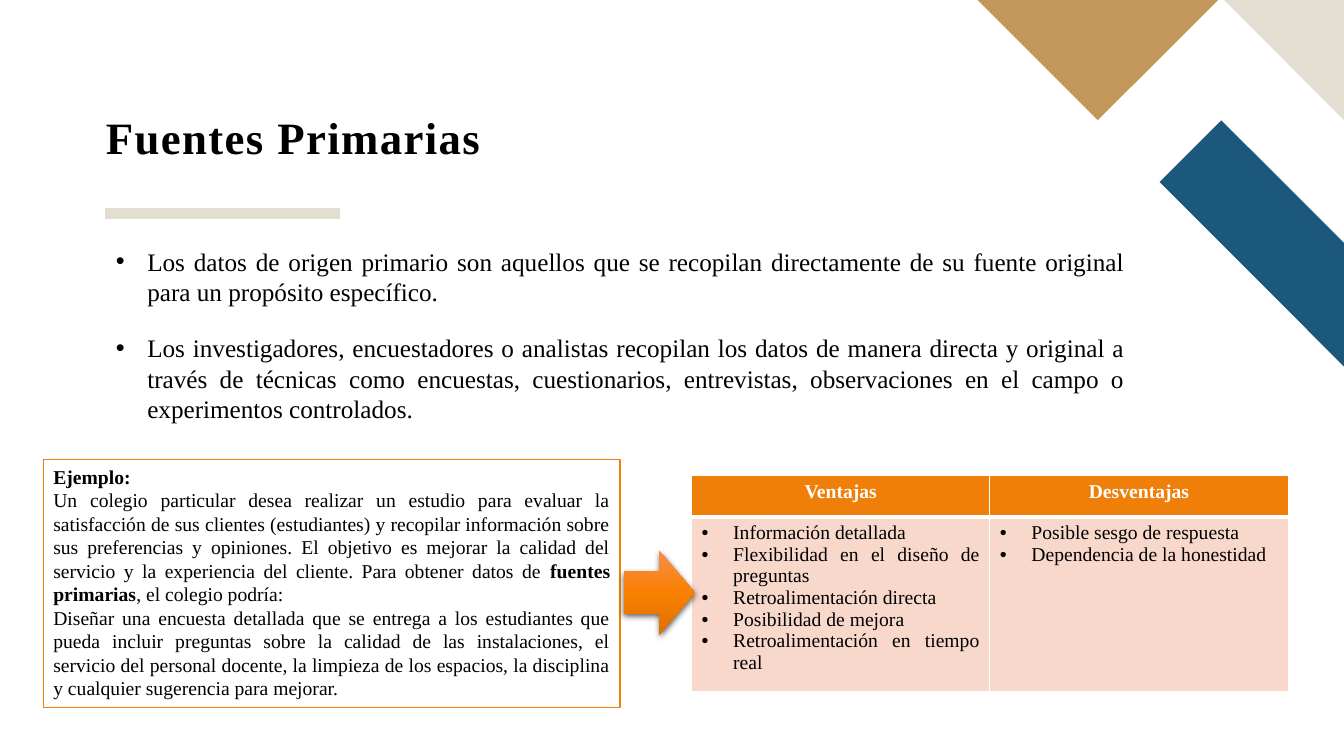
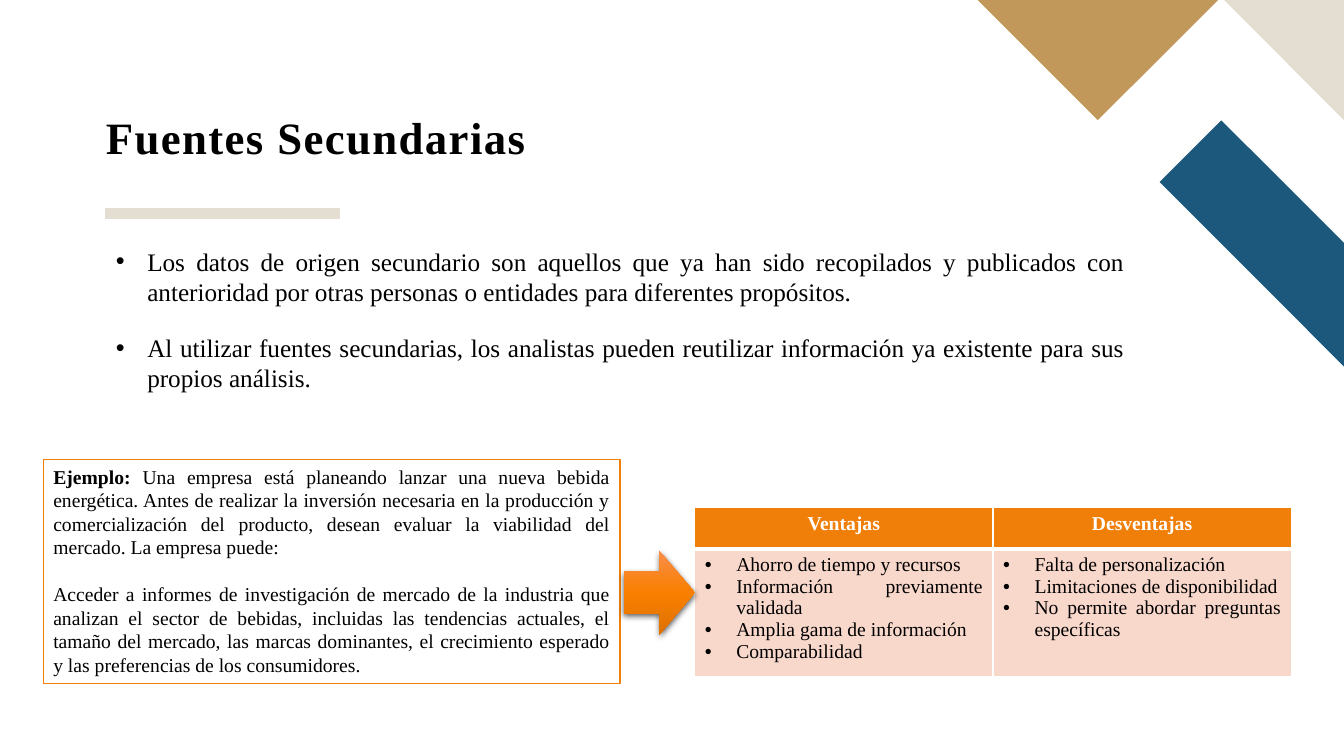
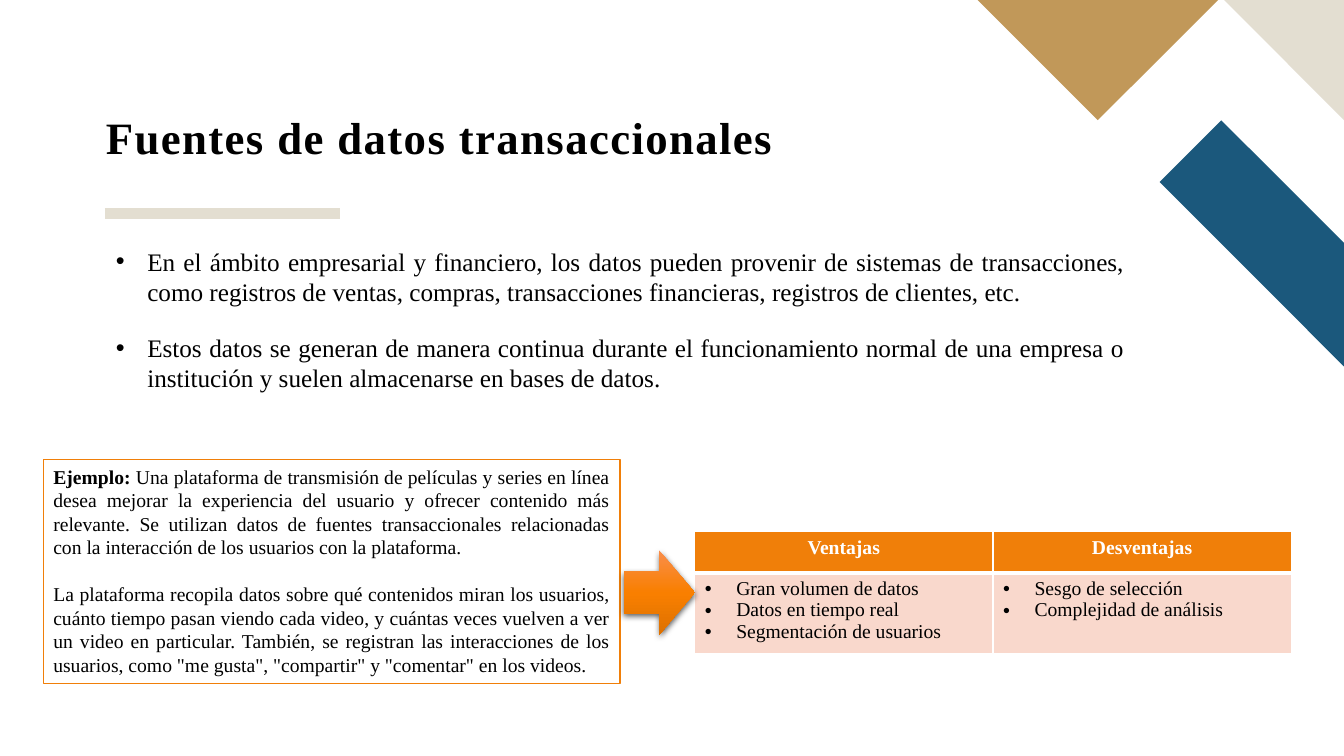
from collections import namedtuple
from copy import deepcopy
from dataclasses import dataclass

from lxml import etree
from pptx import Presentation
from pptx.dml.color import RGBColor
from pptx.enum.shapes import MSO_CONNECTOR, MSO_SHAPE
from pptx.enum.text import MSO_ANCHOR, PP_ALIGN
from pptx.oxml.ns import qn
from pptx.util import Pt

RECTANGLE = MSO_SHAPE.RECTANGLE
RIGHT_ARROW = MSO_SHAPE.RIGHT_ARROW
STRAIGHT = MSO_CONNECTOR.STRAIGHT
TOP, BOTTOM = MSO_ANCHOR.TOP, MSO_ANCHOR.BOTTOM
CENTER, JUSTIFY = PP_ALIGN.CENTER, PP_ALIGN.JUSTIFY

Box = namedtuple("Box", "left top width height")


@dataclass(frozen=True)
class Theme:
    font: str = "Times New Roman"
    title_size: float = 32
    body_size: float = 18
    small_size: float = 14
    black: str = "000000"
    white: str = "FFFFFF"
    sand: str = "E3DED1"
    blue: str = "1B587C"
    gold: str = "C19859"
    orange: str = "F07F09"
    peach: str = "F9D8CC"
    arrow_stops: tuple = ((0, "F98E4B"), (0.5, "F97F00"), (1, "DD7100"))
    indent: float = 22.5
    blank_line: float = 16.8


THEME = Theme()
TITLE_BOX = Box(75.6, 69.1, 735, 48.2)
BULLET_LEFT, BULLET_WIDTH = 75.6, 735
BULLET_TOPS = (172.1, 234)
LINE_HEIGHT = 21.8
EXAMPLE_LEFT, EXAMPLE_TOP, EXAMPLE_WIDTH = 31, 328.3, 412
ARROW_BOX = Box(445.4, 393.2, 50.9, 60.2)
TABLE_WIDTH, HEADER_HEIGHT = 426.2, 29.4
CORNER_OUTLINES = (
    (THEME.blue, ((960, 261.8), (960, 173.4), (872.4, 86), (828.3, 130))),
    (THEME.sand, ((960, 85.8), (960, 0), (874.5, 0))),
    (THEME.gold, ((698.3, 0), (784.2, 85.8), (870.2, 0))),
)


def color(value):
    return RGBColor.from_string(value)


def points(box):
    return [Pt(value) for value in box]


def write_paragraph(paragraph, runs, size, align=JUSTIFY, ink=THEME.black, **formats):
    """Fill a paragraph with (text, bold) runs."""
    for name, value in {"alignment": align, **formats}.items():
        setattr(paragraph, name, value)
    for text, bold in runs:
        run = paragraph.add_run()
        run.text = text
        for name, value in {"name": THEME.font, "size": Pt(size), "bold": bold}.items():
            setattr(run.font, name, value)
        run.font.color.rgb = color(ink)


def add_bullet(paragraph):
    properties = paragraph._p.get_or_add_pPr()
    properties.set("marL", str(Pt(THEME.indent)))
    properties.set("indent", str(-Pt(THEME.indent)))
    etree.SubElement(properties, qn("a:buFont"), typeface="Arial")
    etree.SubElement(properties, qn("a:buChar"), char="•")


def next_paragraph(frame, index):
    return frame.add_paragraph() if index else frame.paragraphs[0]


def add_decoration(slide):
    # Corner shapes
    for fill, corners in CORNER_OUTLINES:
        start, *others = [(Pt(x), Pt(y)) for x, y in corners]
        builder = slide.shapes.build_freeform(*start)
        builder.add_line_segments(others, close=True)
        shape = builder.convert_to_shape()
        shape.shadow.inherit = False
        shape.fill.solid()
        shape.fill.fore_color.rgb = color(fill)
        shape.line.fill.background()
    # Rule under the title
    rule = slide.shapes.add_connector(STRAIGHT, Pt(75), Pt(152.6), Pt(243), Pt(152.6))
    rule.line.color.rgb = color(THEME.sand)
    rule.line.width = Pt(8)
    etree.SubElement(rule._element.spPr, qn("a:effectLst"))


def add_title(slide, box, text):
    frame = slide.shapes.add_textbox(*points(box)).text_frame
    formats = {"word_wrap": True, "vertical_anchor": BOTTOM, "margin_left": 0,
               "margin_top": 0, "margin_right": 0, "margin_bottom": 0}
    for name, value in formats.items():
        setattr(frame, name, value)
    paragraph = frame.paragraphs[0]
    write_paragraph(paragraph, [(text, True)], THEME.title_size, line_spacing=0.9)
    paragraph.runs[0]._r.get_or_add_rPr().set("spc", "100")


def add_bullet_box(slide, box, text):
    frame = slide.shapes.add_textbox(*points(box)).text_frame
    frame.word_wrap = True
    write_paragraph(frame.paragraphs[0], [(text, False)], THEME.body_size)
    add_bullet(frame.paragraphs[0])


def add_example(slide, box, paragraphs, gap):
    shape = slide.shapes.add_shape(RECTANGLE, *points(box))
    shape.shadow.inherit = False
    shape.fill.solid()
    shape.fill.fore_color.rgb = color(THEME.white)
    shape.line.color.rgb = color(THEME.orange)
    shape.line.width = Pt(1)
    frame = shape.text_frame
    frame.word_wrap = True
    frame.vertical_anchor = TOP
    for index, runs in enumerate(paragraphs):
        write_paragraph(next_paragraph(frame, index), runs, THEME.small_size,
                        space_before=Pt(gap if index else 0))


def style_cell(cell, fill, borders):
    cell.fill.solid()
    cell.fill.fore_color.rgb = color(fill)
    properties = cell._tc.get_or_add_tcPr()
    for index, (side, width) in enumerate(borders.items()):
        line = etree.Element(qn(f"a:ln{side}"), w=str(Pt(width)))
        solid = etree.SubElement(line, qn("a:solidFill"))
        etree.SubElement(solid, qn("a:srgbClr"), val=THEME.white)
        properties.insert(index, line)


def add_comparison(slide, box, columns):
    """Place a header row over one bulleted cell per column."""
    table = slide.shapes.add_table(2, len(columns), *points(box)).table
    table.horz_banding = False
    table.rows[0].height = Pt(HEADER_HEIGHT)
    table.rows[1].height = Pt(box.height - HEADER_HEIGHT)
    for column, (heading, items) in enumerate(columns.items()):
        header, body = table.cell(0, column), table.cell(1, column)
        style_cell(header, THEME.orange, {"L": 1, "R": 1, "T": 1, "B": 3})
        style_cell(body, THEME.peach, {"L": 1, "R": 1, "T": 3, "B": 1})
        write_paragraph(header.text_frame.paragraphs[0], [(heading, True)],
                        THEME.small_size, CENTER, THEME.white)
        for index, item in enumerate(items):
            paragraph = next_paragraph(body.text_frame, index)
            write_paragraph(paragraph, [(item, False)], THEME.small_size)
            add_bullet(paragraph)


def add_arrow(slide, box):
    arrow = slide.shapes.add_shape(RIGHT_ARROW, *points(box))
    arrow.line.fill.background()
    # Three-stop vertical gradient
    arrow.fill.gradient()
    arrow.fill.gradient_angle = 270
    stop_list = arrow._element.spPr.find(qn("a:gradFill")).find(qn("a:gsLst"))
    stop_list.append(deepcopy(stop_list[0]))
    for stop, (position, value) in zip(arrow.fill.gradient_stops, THEME.arrow_stops):
        stop.position = position
        stop.color.rgb = color(value)
    # Soft shadow below
    arrow.shadow.inherit = False
    effects = arrow._element.spPr.find(qn("a:effectLst"))
    shadow = etree.SubElement(effects, qn("a:outerShdw"), blurRad=str(Pt(4.5)),
                              dist=str(Pt(1.5)), dir="5400000", rotWithShape="0")
    shade = etree.SubElement(shadow, qn("a:srgbClr"), val=THEME.black)
    etree.SubElement(shade, qn("a:alpha"), val="63000")


def add_source_slide(presentation, content):
    slide = presentation.slides.add_slide(presentation.slide_layouts[6])
    add_decoration(slide)
    add_title(slide, TITLE_BOX, content["title"])
    for top, (text, lines) in zip(BULLET_TOPS, content["bullets"]):
        height = 7.2 + lines * LINE_HEIGHT
        add_bullet_box(slide, Box(BULLET_LEFT, top, BULLET_WIDTH, height), text)
    example_box = Box(EXAMPLE_LEFT, EXAMPLE_TOP, EXAMPLE_WIDTH, content["example_height"])
    add_example(slide, example_box, content["example"], content["gap"])
    left, top, height = content["table_place"]
    add_comparison(slide, Box(left, top, TABLE_WIDTH, height), content["table"])
    add_arrow(slide, ARROW_BOX)


SLIDES = (
    {
        "title": "Fuentes Primarias",
        "bullets": (
            ("Los datos de origen primario son aquellos que se recopilan directamente de su "
             "fuente original para un propósito específico.", 2),
            ("Los investigadores, encuestadores o analistas recopilan los datos de manera "
             "directa y original a través de técnicas como encuestas, cuestionarios, "
             "entrevistas, observaciones en el campo o experimentos controlados.", 3),
        ),
        "example_height": 177,
        "gap": 0,
        "example": (
            [("Ejemplo:", True)],
            [("Un colegio particular desea realizar un estudio para evaluar la satisfacción de "
              "sus clientes (estudiantes) y recopilar información sobre sus preferencias y "
              "opiniones. El objetivo es mejorar la calidad del servicio y la experiencia del "
              "cliente. Para obtener datos de ", False),
             ("fuentes primarias", True),
             (", el colegio podría:", False)],
            [("Diseñar una encuesta detallada que se entrega a los estudiantes que pueda incluir "
              "preguntas sobre la calidad de las instalaciones, el servicio del personal "
              "docente, la limpieza de los espacios, la disciplina y cualquier sugerencia para "
              "mejorar.", False)],
        ),
        "table_place": (494, 339.8, 154),
        "table": {
            "Ventajas": ("Información detallada", "Flexibilidad en el diseño de preguntas",
                         "Retroalimentación directa", "Posibilidad de mejora",
                         "Retroalimentación en tiempo real"),
            "Desventajas": ("Posible sesgo de respuesta", "Dependencia de la honestidad"),
        },
    },
    {
        "title": "Fuentes Secundarias",
        "bullets": (
            ("Los datos de origen secundario son aquellos que ya han sido recopilados y "
             "publicados con anterioridad por otras personas o entidades para diferentes "
             "propósitos.", 2),
            ("Al utilizar fuentes secundarias, los analistas pueden reutilizar información ya "
             "existente para sus propios análisis.", 2),
        ),
        "example_height": 160,
        "gap": THEME.blank_line,
        "example": (
            [("Ejemplo: ", True),
             ("Una empresa está planeando lanzar una nueva bebida energética. Antes de realizar "
              "la inversión necesaria en la producción y comercialización del producto, desean "
              "evaluar la viabilidad del mercado. La empresa puede:", False)],
            [("Acceder a informes de investigación de mercado de la industria que analizan el "
              "sector de bebidas, incluidas las tendencias actuales, el tamaño del mercado, las "
              "marcas dominantes, el crecimiento esperado y las preferencias de los "
              "consumidores.", False)],
        ),
        "table_place": (496.2, 362.7, 120.2),
        "table": {
            "Ventajas": ("Ahorro de tiempo y recursos", "Información previamente validada",
                         "Amplia gama de información", "Comparabilidad"),
            "Desventajas": ("Falta de personalización", "Limitaciones de disponibilidad",
                            "No permite abordar preguntas específicas"),
        },
    },
    {
        "title": "Fuentes de datos transaccionales",
        "bullets": (
            ("En el ámbito empresarial y financiero, los datos pueden provenir de sistemas de "
             "transacciones, como registros de ventas, compras, transacciones financieras, "
             "registros de clientes, etc.", 2),
            ("Estos datos se generan de manera continua durante el funcionamiento normal de una "
             "empresa o institución y suelen almacenarse en bases de datos.", 2),
        ),
        "example_height": 160,
        "gap": THEME.blank_line,
        "example": (
            [("Ejemplo: ", True),
             ("Una plataforma de transmisión de películas y series en línea desea mejorar la "
              "experiencia del usuario y ofrecer contenido más relevante. Se utilizan datos de "
              "fuentes transaccionales relacionadas con la interacción de los usuarios con la "
              "plataforma.", False)],
            [("La plataforma recopila datos sobre qué contenidos miran los usuarios, cuánto "
              "tiempo pasan viendo cada video, y cuántas veces vuelven a ver un video en "
              "particular. También, se registran las interacciones de los usuarios, como "
              "\"me gusta\", \"compartir\" y \"comentar\" en los videos.", False)],
        ),
        "table_place": (496.2, 379.7, 86.4),
        "table": {
            "Ventajas": ("Gran volumen de datos", "Datos en tiempo real",
                         "Segmentación de usuarios"),
            "Desventajas": ("Sesgo de selección", "Complejidad de análisis"),
        },
    },
)


def main():
    presentation = Presentation()
    presentation.slide_width, presentation.slide_height = Pt(960), Pt(540)
    for content in SLIDES:
        add_source_slide(presentation, content)
    presentation.save("out.pptx")


if __name__ == "__main__":
    main()
